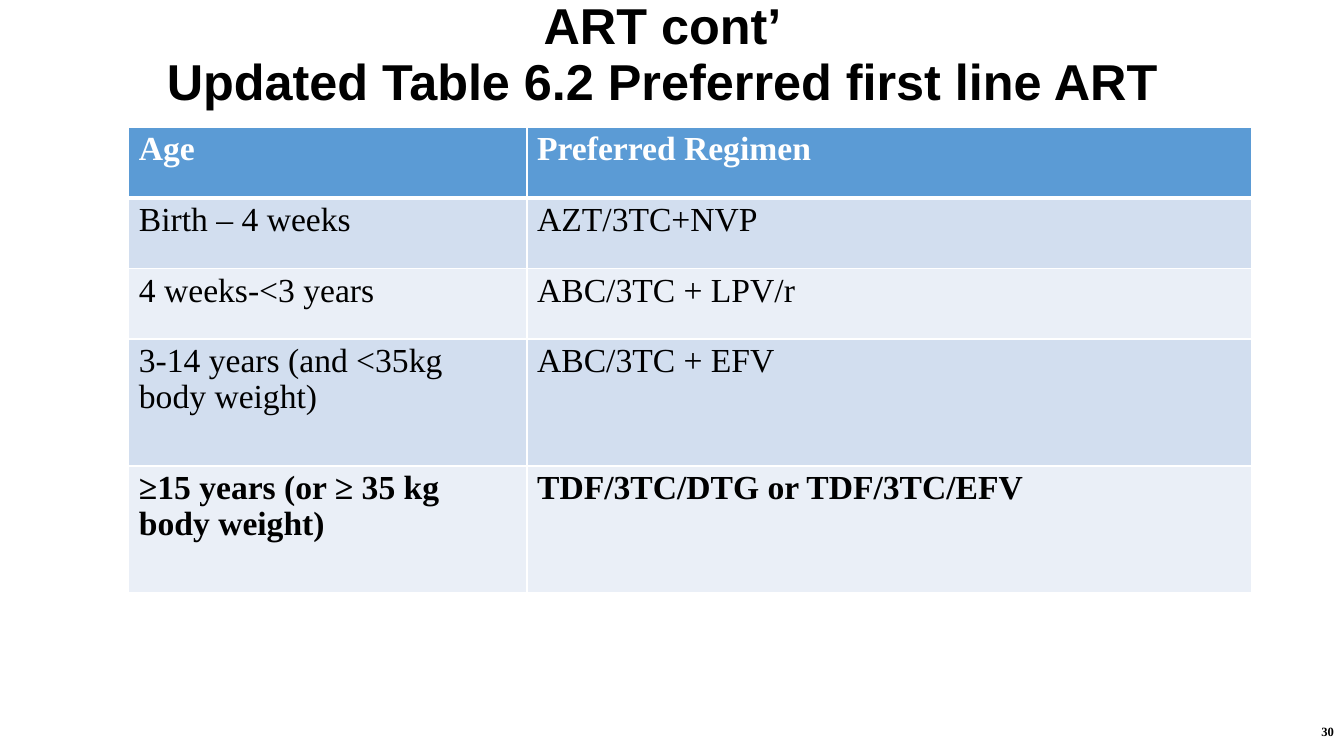
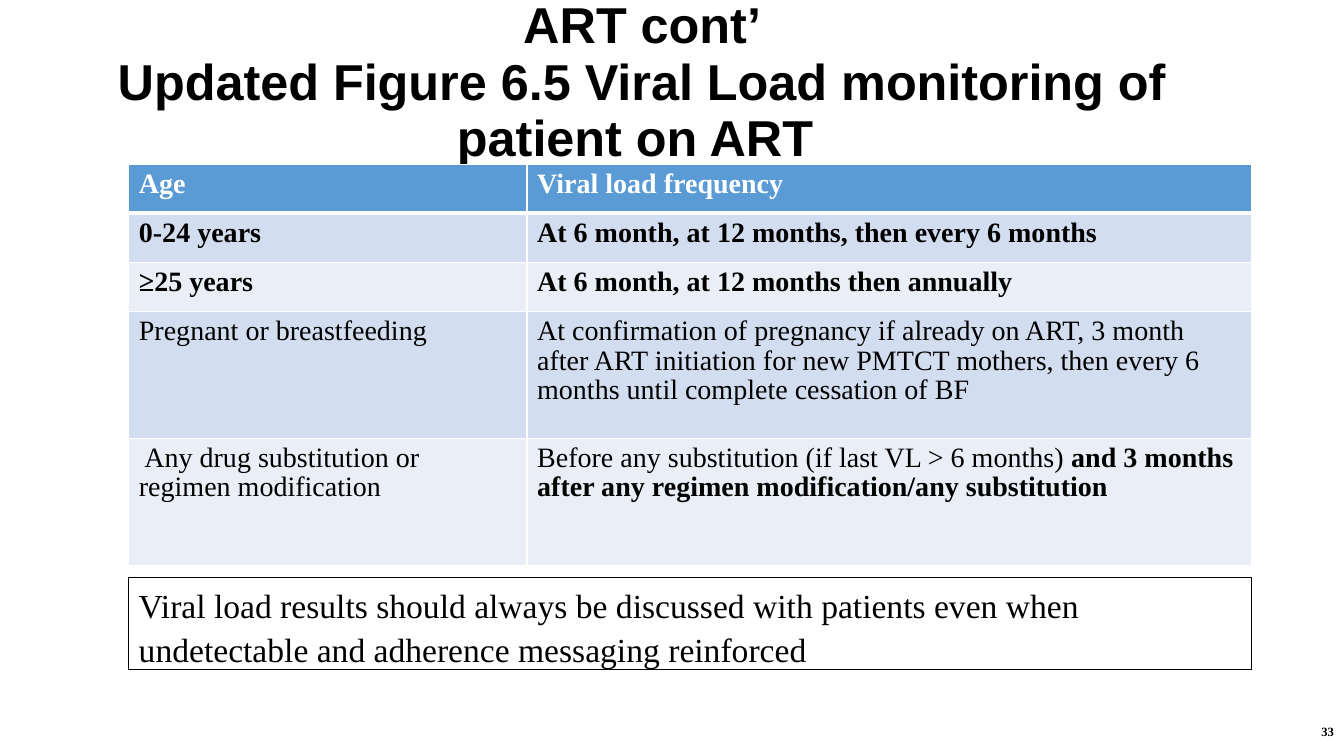
from lxml.etree import SubElement
from pptx import Presentation
from pptx.dml.color import RGBColor
from pptx.enum.shapes import MSO_SHAPE as Shape
from pptx.enum.text import MSO_ANCHOR as Anchor, MSO_AUTO_SIZE as Fit, PP_ALIGN as Align
from pptx.oxml.ns import qn
from pptx.util import Pt

BLACK = RGBColor(0x00, 0x00, 0x00)
WHITE = RGBColor(0xFF, 0xFF, 0xFF)
BLUE = RGBColor(0x5B, 0x9B, 0xD5)
DARK = RGBColor(0xD2, 0xDE, 0xEF)
PALE = RGBColor(0xEA, 0xEF, 0xF7)
SANS = "Arial"
SERIF = "Times New Roman"
LEFT, WIDE, SPLIT = 92, 802, 284.5


def write(para, text, size, bold=False, color=BLACK, face=SERIF):
    run = para.add_run()
    run.text = text
    font = run.font
    font.name, font.size, font.bold = face, Pt(size), bold
    font.color.rgb = color


def edge(cell, side, width):
    props = cell._tc.get_or_add_tcPr()
    line = SubElement(props, qn("a:" + side), w=str(Pt(width)))
    fill = SubElement(line, qn("a:solidFill"))
    SubElement(fill, qn("a:srgbClr"), val=str(WHITE))


pages = [
    {
        "title": "Updated Table 6.2 Preferred first line ART",
        "box": (92, 8, 762.5, 64),
        "top": 91,
        "size": 24,
        "tall": [50.4, 50.4, 50.4, 90.7, 90.7],
        "rows": [
            ("Age", "Preferred Regimen"),
            ("Birth – 4 weeks", "AZT/3TC+NVP"),
            ("4 weeks-<3 years", "ABC/3TC + LPV/r"),
            ("3-14 years (and <35kg body weight)", "ABC/3TC + EFV"),
            ("≥15 years (or ≥ 35 kg body weight)", "TDF/3TC/DTG or TDF/3TC/EFV"),
        ],
        "bold": {0, 4},
        "number": "30",
    },
    {
        "title": "Updated Figure 6.5 Viral Load monitoring of patient on ART ",
        "box": (29, 8, 859.5, 103),
        "top": 117.4,
        "size": 20,
        "tall": [35, 35, 35, 90.7, 90.7],
        "rows": [
            ("Age", "Viral load frequency"),
            ("0-24 years", "At 6 month, at 12 months, then every 6 months"),
            ("≥25 years", "At 6 month, at 12 months then annually"),
            (
                "Pregnant or breastfeeding",
                "At confirmation of pregnancy if already on ART, 3 month after ART "
                "initiation for new PMTCT mothers, then every 6 months until complete "
                "cessation of BF",
            ),
            (
                " Any drug substitution or regimen modification",
                "Before any substitution (if last VL > 6 months) "
                "|and 3 months after any regimen modification/any substitution",
            ),
        ],
        "bold": {0, 1, 2},
        "number": "33",
    },
]

deck = Presentation()
deck.slide_width, deck.slide_height = Pt(960), Pt(540)

for page in pages:
    slide = deck.slides.add_slide(deck.slide_layouts[5])

    title = slide.shapes.title
    title.left, title.top, title.width, title.height = map(Pt, page["box"])
    frame = title.text_frame
    frame.auto_size = Fit.NONE
    frame.vertical_anchor = Anchor.MIDDLE
    para = frame.paragraphs[0]
    para.alignment = Align.CENTER
    para.line_spacing = 0.93
    write(para, "ART cont’", 36, True, face=SANS)
    para.add_line_break()
    write(para, page["title"], 36, True, face=SANS)

    tall = page["tall"]
    table = slide.shapes.add_table(
        len(tall), 2, Pt(LEFT), Pt(page["top"]), Pt(WIDE), Pt(sum(tall))
    ).table
    table.columns[0].width = Pt(SPLIT)
    table.columns[1].width = Pt(WIDE - SPLIT)
    for i, texts in enumerate(page["rows"]):
        table.rows[i].height = Pt(tall[i])
        for j, text in enumerate(texts):
            cell = table.cell(i, j)
            for side in ("lnL", "lnR", "lnT", "lnB"):
                thick = (i, side) in ((0, "lnB"), (1, "lnT"))
                edge(cell, side, 3 if thick else 1)
            cell.fill.solid()
            cell.fill.fore_color.rgb = BLUE if i == 0 else DARK if i % 2 else PALE
            para = cell.text_frame.paragraphs[0]
            para.line_spacing = 0.96
            for k, part in enumerate(text.split("|")):
                bold = i in page["bold"] or k == 1
                write(para, part, page["size"], bold, BLACK if i else WHITE)

    number = slide.shapes.add_textbox(Pt(744), Pt(508), Pt(216), Pt(29))
    frame = number.text_frame
    frame.word_wrap = True
    frame.vertical_anchor = Anchor.MIDDLE
    para = frame.paragraphs[0]
    para.alignment = Align.RIGHT
    write(para, page["number"], 9, True)

note = slide.shapes.add_shape(Shape.RECTANGLE, Pt(LEFT), Pt(412.5), Pt(WIDE), Pt(65.5))
note.shadow.inherit = False
note.fill.background()
note.line.color.rgb = BLACK
note.line.width = Pt(0.75)
frame = note.text_frame
frame.word_wrap = True
frame.vertical_anchor = Anchor.TOP
para = frame.paragraphs[0]
para.alignment = Align.LEFT
para.line_spacing = 1.07
write(
    para,
    "Viral load results should always be discussed with patients even when "
    "undetectable and adherence messaging reinforced",
    24,
)

deck.save("out.pptx")
